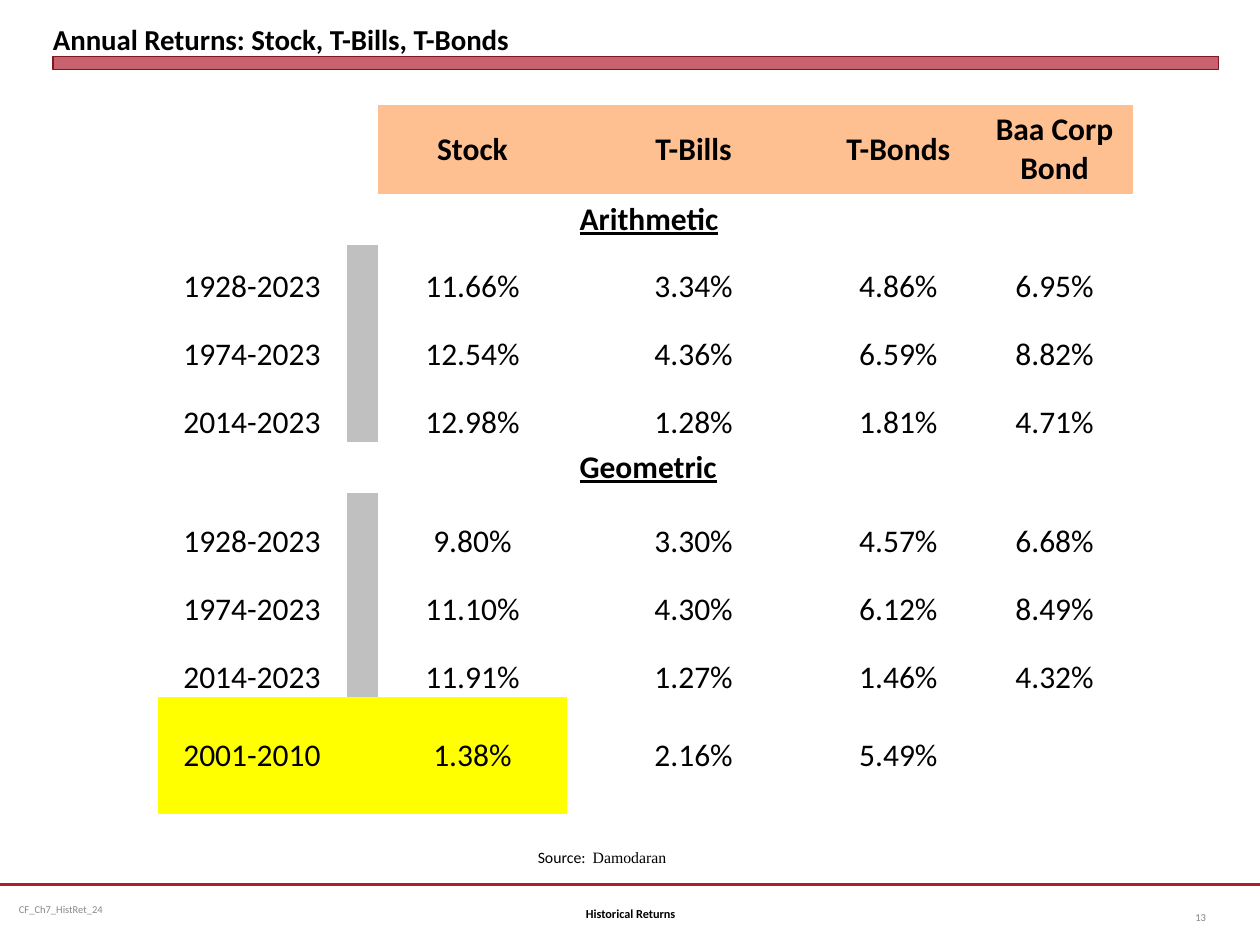
"""Build the slide of historical annual returns."""
from dataclasses import dataclass

from lxml import etree
from pptx import Presentation
from pptx.dml.color import RGBColor
from pptx.enum.shapes import MSO_CONNECTOR, MSO_SHAPE
from pptx.enum.text import MSO_ANCHOR, PP_ALIGN
from pptx.oxml.ns import qn
from pptx.util import Inches, Pt

TOP, MIDDLE, BOTTOM = MSO_ANCHOR.TOP, MSO_ANCHOR.MIDDLE, MSO_ANCHOR.BOTTOM
LEFT, CENTER, RIGHT = PP_ALIGN.LEFT, PP_ALIGN.CENTER, PP_ALIGN.RIGHT
RECTANGLE, STRAIGHT = MSO_SHAPE.RECTANGLE, MSO_CONNECTOR.STRAIGHT

CRIMSON = RGBColor(0xB0, 0x1C, 0x2E)
DARK_RED = RGBColor(0x82, 0x15, 0x22)
PEACH = RGBColor(0xFE, 0xC0, 0x91)
SILVER = RGBColor(0xC0, 0xC0, 0xC0)
YELLOW = RGBColor(0xFF, 0xFF, 0x00)
BLACK = RGBColor(0x00, 0x00, 0x00)
GRAY = RGBColor(0x89, 0x89, 0x89)
MID_GRAY = RGBColor(0x80, 0x80, 0x80)

PLAIN_TABLE = "{2D5ABB26-0587-4C30-8999-92F81FD0307C}"
COLUMNS = (1.5, 0.25, 1.5, 2.01, 1.24, 1.24)
ROWS = (0.54, 0.37, 0.48, 0.54, 0.54, 0.37, 0.54, 0.54, 0.54, 0.93)
TABLE_HEIGHT = 5.69


@dataclass
class Span:
    """A run of text with its format."""
    text: str
    size: float
    color: RGBColor = BLACK
    bold: bool = False
    underline: bool = False
    name: str = "Calibri"


@dataclass
class Label:
    """A text box with one paragraph."""
    area: tuple
    spans: tuple
    align: PP_ALIGN = LEFT
    anchor: MSO_ANCHOR = MIDDLE
    inset: tuple = (0.1, 0.05)
    wrap: bool = True


@dataclass
class Band:
    """A table row with its look."""
    texts: tuple
    fills: tuple = (None,) * 6
    align: PP_ALIGN = CENTER
    anchor: MSO_ANCHOR = MIDDLE
    inset: tuple = (0.1, 0.05)
    bold: bool = False
    underline: bool = False


def heading(text: str) -> Band:
    """Return an underlined section row."""
    return Band(("", "", "", text, "", ""), align=LEFT, bold=True, underline=True)


def period(years: str, *returns: str) -> Band:
    """Return a row of yearly returns with a gray divider."""
    return Band((years, "", *returns), (None, SILVER, None, None, None, None),
                anchor=BOTTOM, inset=(0, 0))


BANDS = (
    Band(("", "", "Stock", "T-Bills", "T-Bonds", "Baa Corp Bond"),
         (None, None, PEACH, PEACH, PEACH, PEACH), bold=True),
    heading("Arithmetic"),
    period("1928-2023", "11.66%", "3.34%", "4.86%", "6.95%"),
    period("1974-2023", "12.54%", "4.36%", "6.59%", "8.82%"),
    period("2014-2023", "12.98%", "1.28%", "1.81%", "4.71%"),
    heading("Geometric"),
    period("1928-2023", "9.80%", "3.30%", "4.57%", "6.68%"),
    period("1974-2023", "11.10%", "4.30%", "6.12%", "8.49%"),
    period("2014-2023", "11.91%", "1.27%", "1.46%", "4.32%"),
    Band(("2001-2010", "", "1.38%", "2.16%", "5.49%", ""),
         (YELLOW, YELLOW, YELLOW, None, None, None)),
)

LABELS = (
    Label((0.08, 7.02, 2.58, 0.4), (Span("CF_Ch7_HistRet_24", 6, GRAY),),
          inset=(0.07, 0.04)),
    Label((0.42, 0.05, 9.25, 0.4),
          (Span("Annual Returns: Stock, T-Bills, T-Bonds", 16.5, bold=True),),
          anchor=BOTTOM, inset=(0, 0)),
    Label((3.42, 7.05, 3.17, 0.4), (Span("Historical Returns", 7, bold=True),), CENTER),
    Label((4.17, 6.68, 1.23, 0.25),
          (Span("Source:  ", 9), Span("Damodaran", 9, name="Times New Roman")),
          anchor=TOP, wrap=False),
    Label((9.17, 7.08, 0.5, 0.4), (Span("13", 6, MID_GRAY),), RIGHT),
)


def set_all(target, values: dict) -> None:
    """Set each named attribute of the target."""
    for key, value in values.items():
        setattr(target, key, value)


def insets(inset: tuple) -> dict:
    """Return margin values for a horizontal and vertical inset."""
    across, down = map(Inches, inset)
    return {"margin_left": across, "margin_right": across,
            "margin_top": down, "margin_bottom": down}


def write(para, spans: tuple, align: PP_ALIGN) -> None:
    """Write the spans into a paragraph."""
    para.alignment = align
    for span in spans:
        run = para.add_run()
        run.text = span.text
        set_all(run.font, {"size": Pt(span.size), "name": span.name,
                           "bold": span.bold, "underline": span.underline})
        run.font.color.rgb = span.color


def draw_label(page, label: Label) -> None:
    """Draw a text box."""
    frame = page.shapes.add_textbox(*map(Inches, label.area)).text_frame
    set_all(frame, {"word_wrap": label.wrap, "vertical_anchor": label.anchor,
                    **insets(label.inset)})
    write(frame.paragraphs[0], label.spans, label.align)


def draw_rules(page) -> None:
    """Draw the footer line and the translucent title bar."""
    line = page.shapes.add_connector(STRAIGHT, 0, Inches(7.02), Inches(10), Inches(7.02))
    line.line.color.rgb = CRIMSON
    line.line.width = Pt(1.25)
    etree.SubElement(line._element.spPr, qn("a:effectLst"))
    bar = page.shapes.add_shape(RECTANGLE, *map(Inches, (0.42, 0.45, 9.25, 0.1)))
    bar.shadow.inherit = False
    bar.fill.solid()
    bar.fill.fore_color.rgb = CRIMSON
    color = bar._element.spPr.find(qn("a:solidFill"))[0]
    etree.SubElement(color, qn("a:alpha"), val="69000")
    bar.line.color.rgb = DARK_RED
    bar.line.width = Pt(0)


def draw_cell(cell, text: str, fill, band: Band) -> None:
    """Fill one table cell."""
    set_all(cell, {"vertical_anchor": band.anchor, **insets(band.inset)})
    if fill is None:
        cell.fill.background()
    else:
        cell.fill.solid()
        cell.fill.fore_color.rgb = fill
    if text:
        span = Span(text, 18, bold=band.bold, underline=band.underline)
        write(cell.text_frame.paragraphs[0], (span,), band.align)


def draw_table(page) -> None:
    """Draw the table of returns."""
    area = map(Inches, (1.25, 0.83, sum(COLUMNS), TABLE_HEIGHT))
    holder = page.shapes.add_table(len(ROWS), len(COLUMNS), *area)
    table = holder.table
    set_all(table, {"first_row": False, "horz_banding": False})
    table._tbl.tblPr.find(qn("a:tableStyleId")).text = PLAIN_TABLE
    for column, width in zip(table.columns, COLUMNS):
        column.width = Inches(width)
    for row, height, band in zip(table.rows, ROWS, BANDS):
        row.height = Inches(height)
        for cell, text, fill in zip(row.cells, band.texts, band.fills):
            draw_cell(cell, text, fill, band)
    holder.height = Inches(TABLE_HEIGHT)


def main() -> None:
    """Build and save the deck."""
    deck = Presentation()
    set_all(deck, {"slide_width": Inches(10), "slide_height": Inches(7.5)})
    page = deck.slides.add_slide(deck.slide_layouts[6])
    draw_rules(page)
    draw_table(page)
    for label in LABELS:
        draw_label(page, label)
    deck.save("out.pptx")


if __name__ == "__main__":
    main()
